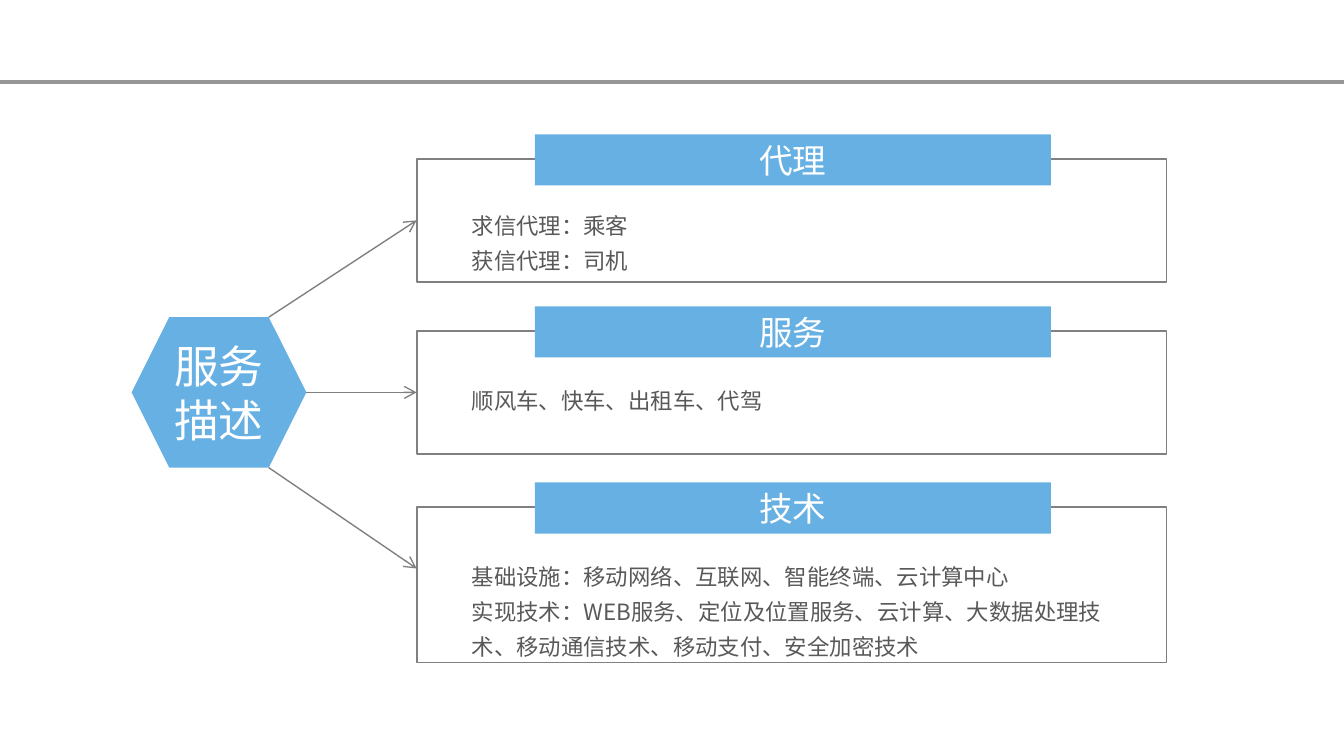
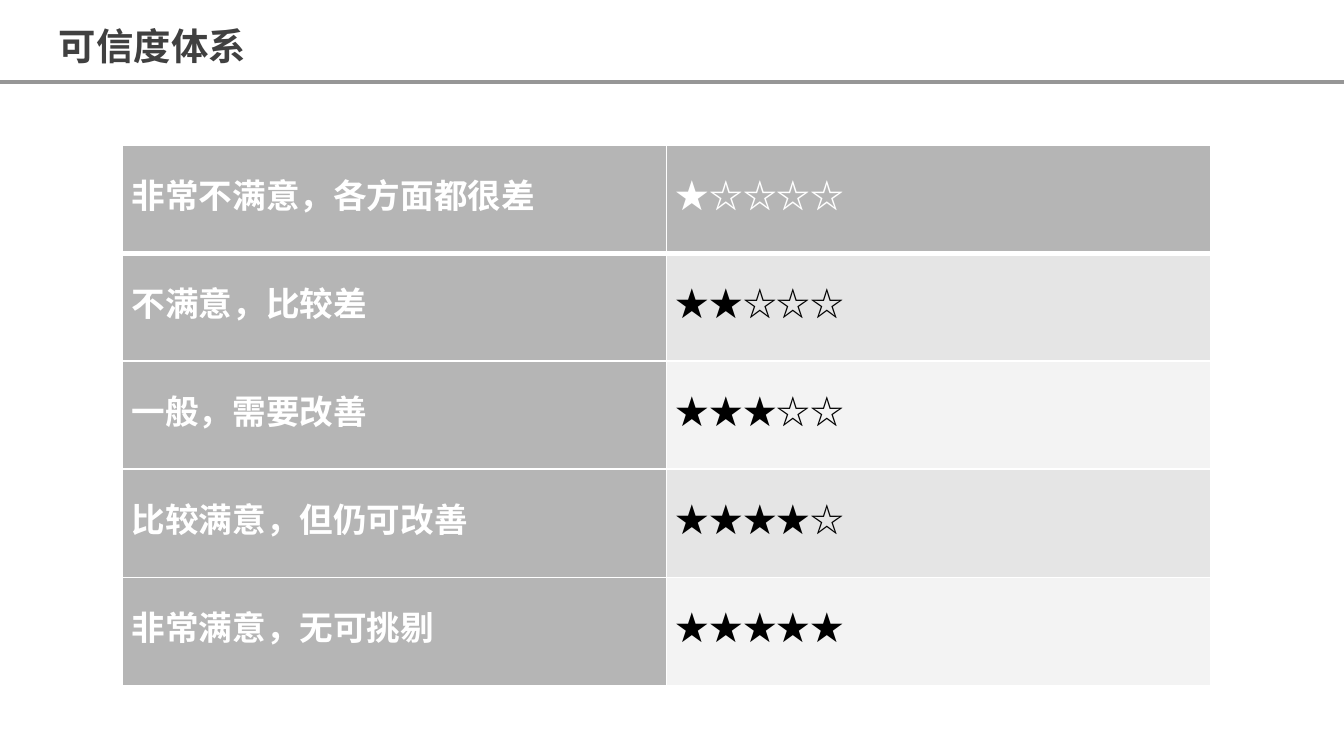
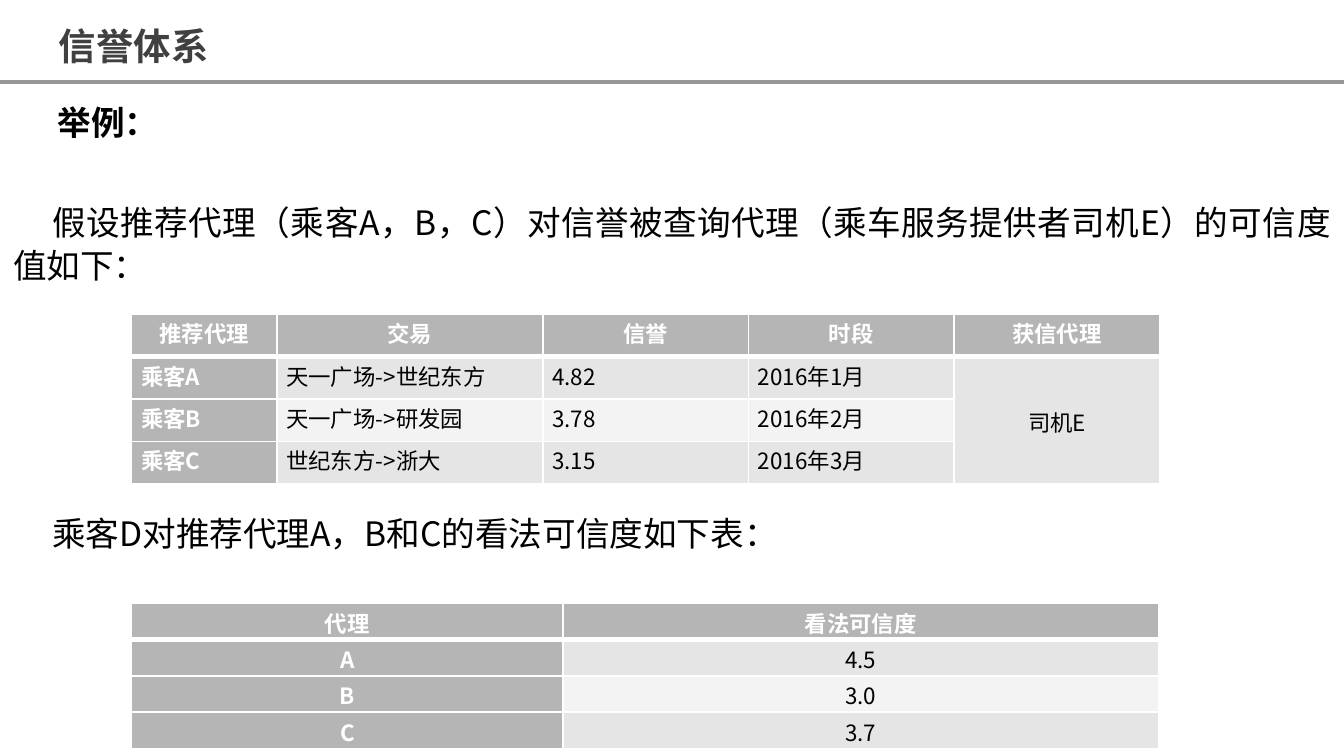
from lxml import etree
from pptx import Presentation
from pptx.dml.color import RGBColor
from pptx.enum.shapes import MSO_CONNECTOR, MSO_SHAPE
from pptx.enum.text import MSO_ANCHOR, MSO_AUTO_SIZE, PP_ALIGN
from pptx.oxml.ns import qn
from pptx.util import Inches, Pt

RECTANGLE, HEXAGON = MSO_SHAPE.RECTANGLE, MSO_SHAPE.HEXAGON
STRAIGHT = MSO_CONNECTOR.STRAIGHT
TOP, MIDDLE = MSO_ANCHOR.TOP, MSO_ANCHOR.MIDDLE
CENTER, JUSTIFY = PP_ALIGN.CENTER, PP_ALIGN.JUSTIFY
GROW = MSO_AUTO_SIZE.SHAPE_TO_FIT_TEXT

FONT = "Noto Sans CJK SC"
COLORS = {
    "white": "FFFFFF", "black": "000000", "blue": "67B0E3",
    "rule": "969696", "outline": "808080", "title": "404040", "body": "595959",
    "head": "B5B5B5", "odd": "E5E5E5", "even": "F3F3F3",
}
SLIDE_W = 10
SLIDE_H = SLIDE_W * 9 / 16
SHAPE_INSETS = (0.08, 0.04)
TEXT_INSETS = (0.1, 0.05)


def rgb(name):
    return RGBColor.from_string(COLORS[name])


def set_insets(frame, across, down):
    frame.margin_left = frame.margin_right = Inches(across)
    frame.margin_top = frame.margin_bottom = Inches(down)


def write(frame, text, size, color, bold=False, align=None, line=None, after=None, indent=0):
    """Fill a text frame, one paragraph per line of text."""
    frame.text = text
    for paragraph in frame.paragraphs:
        paragraph.alignment = align
        paragraph.line_spacing = line
        if after is not None:
            paragraph.space_after = Pt(after)
        if indent:
            properties = paragraph._p.get_or_add_pPr()
            properties.set("marL", "0")
            properties.set("indent", str(Inches(indent)))
        for run in paragraph.runs:
            run.font.size = Pt(size)
            run.font.bold = bold
            run.font.color.rgb = rgb(color)
            run.font.name = FONT
            etree.SubElement(run._r.get_or_add_rPr(), qn("a:ea"), typeface=FONT)


def add_text(slide, box, text, size, color, insets=TEXT_INSETS, **style):
    frame = slide.shapes.add_textbox(*map(Inches, box)).text_frame
    frame.word_wrap = True
    frame.auto_size = GROW
    set_insets(frame, *insets)
    write(frame, text, size, color, **style)


def add_line(slide, start, end, color, width, arrow=False):
    connector = slide.shapes.add_connector(STRAIGHT, *map(Inches, (*start, *end)))
    connector.line.color.rgb = rgb(color)
    connector.line.width = Pt(width)
    if arrow:
        etree.SubElement(connector.line._get_or_add_ln(), qn("a:tailEnd"), type="arrow")
    etree.SubElement(connector._element.spPr, qn("a:effectLst"))


def add_blue_label(slide, preset, box, text, size):
    label = slide.shapes.add_shape(preset, *map(Inches, box))
    label.shadow.inherit = False
    label.fill.solid()
    label.fill.fore_color.rgb = rgb("blue")
    label.line.fill.background()
    frame = label.text_frame
    frame.word_wrap = True
    frame.vertical_anchor = MIDDLE
    set_insets(frame, *SHAPE_INSETS)
    write(frame, text, size, "white", align=CENTER)


def add_page(deck, title=None):
    """Add a slide with the top rule and, if given, a title."""
    slide = deck.slides.add_slide(deck.slide_layouts[6])
    add_line(slide, (0, 0.61), (SLIDE_W, 0.61), "rule", 1.75)
    if title:
        add_text(slide, (0.34, 0.06, 2.61, 0.47), title, 20, "title", bold=True, line=1.2)
    return slide


def add_card(slide, left, top, width, height, heading, text, text_drop, text_height):
    frame = slide.shapes.add_shape(RECTANGLE, *map(Inches, (left, top, width, height)))
    frame.shadow.inherit = False
    frame.fill.background()
    frame.line.color.rgb = rgb("outline")
    frame.line.width = Pt(1)
    add_blue_label(slide, RECTANGLE, (left + 0.88, top - 0.18, 3.84, 0.38), heading, 18)
    add_text(slide, (left + 0.33, top + text_drop, 4.96, text_height), text, 12, "body",
             insets=SHAPE_INSETS, line=1.3)


def add_borders(cell, widths):
    """Give a cell white borders; widths maps L, R, T, B to points."""
    properties = cell._tc.get_or_add_tcPr()
    for side, width in widths.items():
        border = etree.SubElement(properties, qn(f"a:ln{side}"), w=str(Pt(width)))
        fill = etree.SubElement(border, qn("a:solidFill"))
        etree.SubElement(fill, qn("a:srgbClr"), val=COLORS["white"])


def add_banded_table(slide, box, column_widths, rows, size, line, after=None,
                     head_align=JUSTIFY, body_align=JUSTIFY, anchor=TOP):
    """Add a table with a dark first row and column and banded body cells."""
    table = slide.shapes.add_table(len(rows), len(column_widths), *map(Inches, box)).table
    for column, width in zip(table.columns, column_widths):
        column.width = Inches(width)
    for r, row in enumerate(rows):
        for c, text in enumerate(row):
            cell = table.cell(r, c)
            is_head = r == 0 or c == 0
            if r == 0:
                add_borders(cell, {"L": 1, "R": 1, "T": 1, "B": 3})
            cell.fill.solid()
            cell.fill.fore_color.rgb = rgb("head" if is_head else "odd" if r % 2 else "even")
            set_insets(cell, 0.07, 0)
            cell.vertical_anchor = anchor
            write(cell.text_frame, text, size, "white" if is_head else "black", bold=is_head,
                  align=body_align if r else head_align, line=line, after=after)
    return table


def build_service_slide(deck):
    slide = add_page(deck)
    left, top, width, height = 0.98, 2.36, 1.3, 1.12
    right, slant = left + width, height / 4
    add_blue_label(slide, HEXAGON, (left, top, width, height), "服务描述", 24)
    cards = [
        (1.18, 0.92, "代理", "求信代理：乘客\n获信代理：司机", 0.3, 0.6),
        (2.46, 0.92, "服务", "顺风车、快车、出租车、代驾", 0.32, 0.34),
        (3.77, 1.16, "技术", "基础设施：移动网络、互联网、智能终端、云计算中心\n"
         "实现技术：WEB服务、定位及位置服务、云计算、大数据处理技术、移动通信技术、移动支付、安全加密技术",
         0.32, 0.86),
    ]
    corners = [(right - slant, top), (right, top + height / 2), (right - slant, top + height)]
    card_left = 3.1
    for corner, (card_top, card_height, *content) in zip(corners, cards):
        add_line(slide, corner, (card_left, card_top + 0.46), "outline", 0.75, arrow=True)
        add_card(slide, card_left, card_top, 5.58, card_height, *content)


def build_rating_slide(deck):
    slide = add_page(deck, "可信度体系")
    ratings = ["非常不满意，各方面都很差", "不满意，比较差", "一般，需要改善",
               "比较满意，但仍可改善", "非常满意，无可挑剔"]
    rows = [(rating, "★" * stars + "☆" * (5 - stars))
            for stars, rating in enumerate(ratings, start=1)]
    add_banded_table(slide, (0.91, 1.08, 8.11, 4.02), [4.05] * 2, rows, 18, line=1.5)


def build_reputation_slide(deck):
    slide = add_page(deck, "信誉体系")
    paragraphs = [
        ((0.04, 0.69, SLIDE_W, 0.4), "举例：", True),
        ((0, 1.43, SLIDE_W, 0.75),
         "假设推荐代理（乘客A，B，C）对信誉被查询代理（乘车服务提供者司机E）的可信度值如下：", False),
        ((0, 3.75, SLIDE_W, 0.4), "乘客D对推荐代理A，B和C的看法可信度如下表：", False),
    ]
    for box, text, bold in paragraphs:
        add_text(slide, box, text, 18, "black", bold=bold, align=JUSTIFY,
                 line=1.07, after=8, indent=0.29)

    deals = [
        ("推荐代理", "交易", "信誉", "时段", "获信代理"),
        ("乘客A", "天一广场->世纪东方", "4.82", "2016年1月", "司机E"),
        ("乘客B", "天一广场->研发园", "3.78", "2016年2月"),
        ("乘客C", "世纪东方->浙大", "3.15", "2016年3月"),
    ]
    deal_table = add_banded_table(slide, (0.98, 2.34, 7.64, 1.26), [1.08, 1.98] + [1.53] * 3,
                                  deals, 12, line=1.07, after=8, head_align=CENTER)
    driver = deal_table.cell(1, 4)
    driver.merge(deal_table.cell(3, 4))
    driver.vertical_anchor = MIDDLE
    driver.text_frame.paragraphs[0].alignment = CENTER

    opinions = [("代理", "看法可信度"), ("A", "4.5"), ("B", "3.0"), ("C", "3.7")]
    add_banded_table(slide, (0.98, 4.49, 7.64, 1.08), [3.21, 4.43], opinions, 12, line=1.07,
                     after=8, head_align=CENTER, body_align=CENTER, anchor=MIDDLE)


def main():
    deck = Presentation()
    deck.slide_width, deck.slide_height = Inches(SLIDE_W), Inches(SLIDE_H)
    build_service_slide(deck)
    build_rating_slide(deck)
    build_reputation_slide(deck)
    deck.save("out.pptx")


if __name__ == "__main__":
    main()
